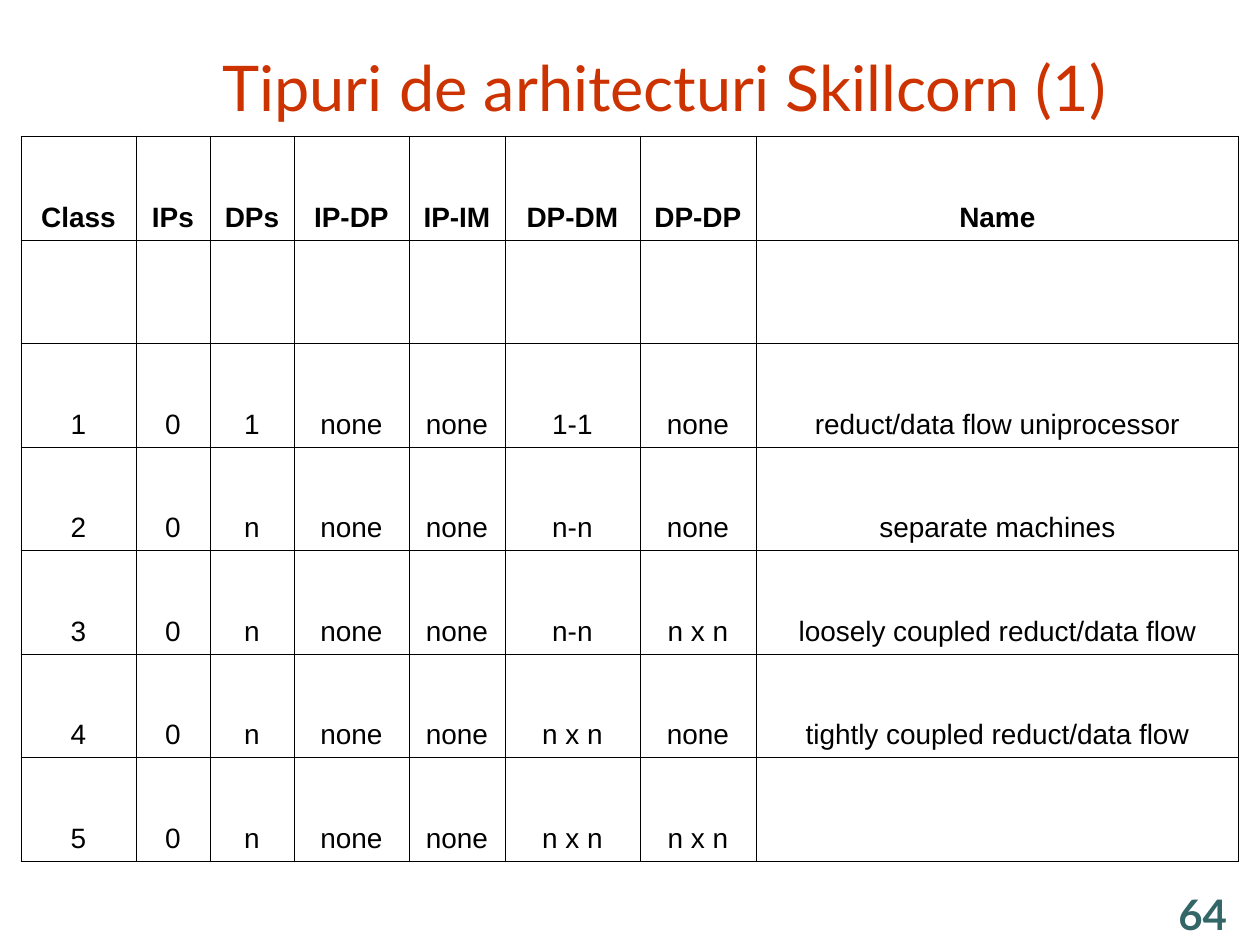
from itertools import pairwise

from lxml.etree import SubElement
from pptx import Presentation
from pptx.dml.color import RGBColor
from pptx.enum.text import MSO_ANCHOR, MSO_AUTO_SIZE, PP_ALIGN
from pptx.oxml.ns import qn
from pptx.util import Emu, Pt

PX_PER_INCH = 126
TABLE_BOX = (21, 136, 1218, 725)
COL_WIDTHS = [115, 74, 84, 115, 96, 135, 116, 483]
ROWS = [
    ["Class", "IPs", "DPs", "IP-DP", "IP-IM", "DP-DM", "DP-DP", "Name"],
    [""] * 8,
    ["1", "0", "1", "none", "none", "1-1", "none", "reduct/data flow uniprocessor"],
    ["2", "0", "n", "none", "none", "n-n", "none", "separate machines"],
    ["3", "0", "n", "none", "none", "n-n", "n x n", "loosely coupled reduct/data flow"],
    ["4", "0", "n", "none", "none", "n x n", "none", "tightly coupled reduct/data flow"],
    ["5", "0", "n", "none", "none", "n x n", "n x n", ""],
]
TITLE_FONT = {"name": "Lato", "size": Pt(36), "bold": False, "color": "CC3300"}
NUMBER_FONT = {"name": "Lato", "size": Pt(24), "bold": True, "color": "336666"}
CELL_FONT = {"name": "Arial", "size": Pt(16), "bold": False, "color": "000000"}
HEADER_FONT = CELL_FONT | {"bold": True}


def px(n):
    return Emu(round(n * 914400 / PX_PER_INCH))


def rgb(hex_color):
    return RGBColor.from_string(hex_color)


def write(tf, text, font, align=PP_ALIGN.LEFT):
    p = tf.paragraphs[0]
    p.alignment = align
    r = p.add_run()
    r.text = text
    for key, value in font.items():
        if key == "color":
            r.font.color.rgb = rgb(value)
        else:
            setattr(r.font, key, value)


def add_title(s, text, box):
    sp = s.shapes.title
    sp.left, sp.top, sp.width, sp.height = map(px, box)
    tf = sp.text_frame
    tf.auto_size = MSO_AUTO_SIZE.NONE
    tf.vertical_anchor = MSO_ANCHOR.MIDDLE
    write(tf, text, TITLE_FONT)


def add_page_number(s, text, box):
    tf = s.shapes.add_textbox(*map(px, box)).text_frame
    tf.word_wrap = True
    write(tf, text, NUMBER_FONT)


def set_borders(cell, color, width):
    tc_pr = cell._tc.get_or_add_tcPr()
    for side in ("lnL", "lnR", "lnT", "lnB"):
        ln = SubElement(tc_pr, qn(f"a:{side}"), w=str(width))
        fill = SubElement(ln, qn("a:solidFill"))
        SubElement(fill, qn("a:srgbClr"), val=color)


def add_table(s, rows, col_widths, box):
    table = s.shapes.add_table(len(rows), len(col_widths), *map(px, box)).table
    table.first_row = table.horz_banding = False
    for col, width in zip(table.columns, col_widths):
        col.width = px(width)

    # Equal rows, with edges rounded to whole pixels
    edges = [round(box[3] * i / len(rows)) for i in range(len(rows) + 1)]
    for row, (top, bottom) in zip(table.rows, pairwise(edges)):
        row.height = px(bottom - top)

    for i, values in enumerate(rows):
        for cell, text in zip(table.rows[i].cells, values):
            set_borders(cell, "000000", Pt(0.45))
            cell.fill.background()
            cell.vertical_anchor = MSO_ANCHOR.BOTTOM
            if text:
                font = CELL_FONT if i else HEADER_FONT
                write(cell.text_frame, text, font, PP_ALIGN.CENTER)


def main():
    prs = Presentation()
    prs.slide_width, prs.slide_height = px(1260), px(945)
    s = prs.slides.add_slide(prs.slide_layouts[5])
    s.background.fill.solid()
    s.background.fill.fore_color.rgb = rgb("FFFFFF")

    # Title, classification table, page number
    add_title(s, "Tipuri de arhitecturi Skillcorn (1)", (210, 26, 966, 121))
    add_table(s, ROWS, COL_WIDTHS, TABLE_BOX)
    add_page_number(s, "64", (1166, 882, 116, 32))

    prs.save("out.pptx")


if __name__ == "__main__":
    main()
